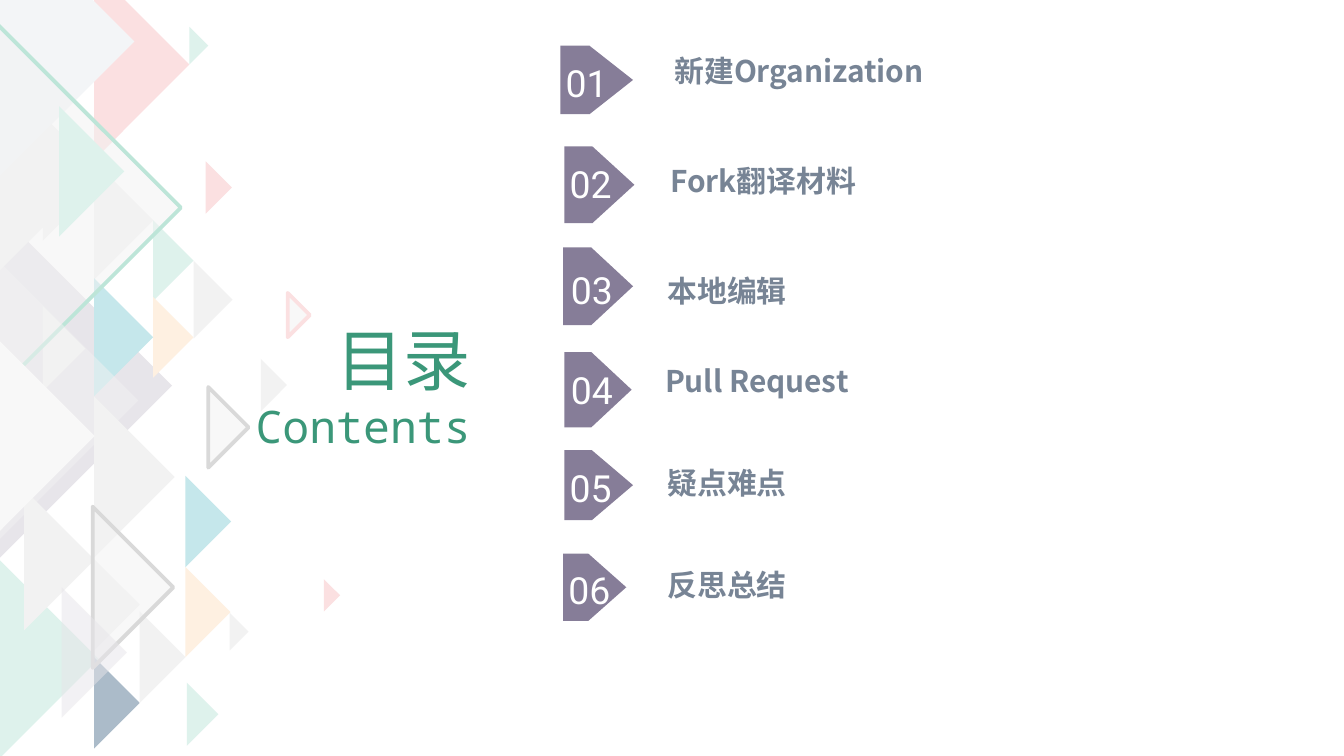
from lxml import etree
from pptx import Presentation
from pptx.dml.color import RGBColor
from pptx.enum.shapes import MSO_SHAPE
from pptx.enum.text import MSO_AUTO_SIZE, PP_ALIGN
from pptx.oxml.ns import qn
from pptx.util import Inches, Pt

COLORS = {
    "lilac": "E7E5EA", "gray": "F2F2F2", "pink": "FBE0E1", "mint": "DEF2EC",
    "cream": "FEF0E1", "aqua": "C5E7EB", "slate": "ABBBC9", "mist": "F3F5F7",
    "white": "FFFFFF", "mint_line": "BDE5D8", "gray_line": "D9D9D9",
    "badge": "867D98", "label": "778495", "title": "3B9779",
}
CJK_FONT = "Noto Sans CJK SC"
MONO_FONT = "Noto Sans Mono"
NUMBER_FONT = "Roboto"

TRIANGLES = [
    (0, 1.59, 2.56, "lilac", 100, None),
    (0, 0.54, 1.47, "gray", 100, None),
    (0.7, 1.2, 0.88, "gray", 100, None),
    (0.7, -0.23, 1.42, "pink", 100, None),
    (1.14, 1.64, 0.6, "mint", 100, None),
    (1.14, 2.21, 0.6, "cream", 100, None),
    (0.7, 2.07, 0.88, "aqua", 100, None),
    (0.7, 2.95, 1.2, "gray", 100, None),
    (0.7, 4.16, 0.68, "gray", 100, None),
    (0, 4.17, 1.47, "mint", 100, None),
    (0.7, 4.89, 0.68, "slate", 100, None),
    (1.04, 4.55, 0.68, "gray", 100, None),
    (1.38, 4.22, 0.67, "cream", 100, None),
    (1.38, 3.54, 0.68, "aqua", 100, None),
    (0, 2.85, 1.02, "gray", 100, None),
    (0, -0.69, 2, "mist", 100, None),
    (0.32, 1.16, 0.63, "gray", 100, None),
    (0.32, 2.28, 0.63, "gray", 100, None),
    (0.18, 3.64, 1.05, "gray", 100, None),
    (1.53, 1.2, 0.39, "pink", 100, None),
    (-0.06, 0.14, 2.81, "gray", 50, "mint_line"),
    (-0.06, 2.48, 1.53, "white", 100, None),
    (0.69, 3.77, 1.2, "gray", 50, "gray_line"),
    (1.55, 2.88, 0.6, "gray", 50, "gray_line"),
    (2.14, 2.18, 0.33, "gray", 50, "pink"),
    (1.94, 2.67, 0.39, "gray", 100, None),
    (1.71, 4.56, 0.28, "gray", 100, None),
    (1.39, 5.08, 0.47, "mint", 100, None),
    (0, 1.95, 2.06, "gray", 50, None),
    (0.46, 4.37, 0.97, "lilac", 50, None),
    (0.44, 0.79, 0.97, "mint", 100, None),
    (1.44, 1.94, 0.58, "gray", 100, None),
    (1.41, 0.2, 0.28, "mint", 100, None),
    (2.41, 4.31, 0.24, "pink", 100, None),
]

ENTRIES = [
    ("新建Organization", (4.17, 0.34, 0.54, 0.51), (-0.06, 0.06), (0.75, 0), 4.32),
    ("Fork翻译材料", (4.2, 1.09, 0.52, 0.57), (-0.06, 0.06), (0.69, 0.07), 3.37),
    ("本地编辑", (4.19, 1.84, 0.52, 0.58), (-0.04, 0.1), (0.68, 0.14), 3.37),
    ("Pull Request", (4.2, 2.62, 0.5, 0.56), (-0.05, 0.06), (0.65, 0.03), 3.37),
    ("疑点难点", (4.2, 3.35, 0.51, 0.52), (-0.06, 0.06), (0.67, 0.06), 3.37),
    ("反思总结", (4.19, 4.12, 0.47, 0.5), (-0.06, 0.05), (0.68, 0.05), 3.37),
]


def color(name):
    return RGBColor.from_string(COLORS[name])


def paint(shape, fill, opacity=100, outline=None):
    shape.shadow.inherit = False
    shape.fill.solid()
    shape.fill.fore_color.rgb = color(fill)
    if opacity < 100:
        fill_color = shape.element.spPr.find(qn("a:solidFill"))[0]
        etree.SubElement(fill_color, qn("a:alpha"), val=str(opacity * 1000))
    if outline:
        shape.line.color.rgb = color(outline)
        shape.line.width = Pt(2)
    else:
        shape.line.fill.background()


def add_triangle(slide, left, top, height, fill, opacity, outline):
    points = [(left + height / 2, top + height / 2), (left, top + height), (left, top)]
    start, *others = [(Inches(x), Inches(y)) for x, y in points]
    builder = slide.shapes.build_freeform(*start)
    builder.add_line_segments(others, close=True)
    paint(builder.convert_to_shape(), fill, opacity, outline)


def add_text(slide, box, lines, sizes, font, fill, bold=False, wrap=True, align=PP_ALIGN.LEFT):
    text_box = slide.shapes.add_textbox(*map(Inches, box))
    text_frame = text_box.text_frame
    text_frame.text = "\n".join(lines)
    text_frame.word_wrap = wrap
    text_frame.auto_size = MSO_AUTO_SIZE.SHAPE_TO_FIT_TEXT
    for paragraph, size in zip(text_frame.paragraphs, sizes):
        paragraph.alignment = align
        for run in paragraph.runs:
            run.font.size = Pt(size)
            run.font.name = font
            run.font.bold = bold
            run.font.color.rgb = color(fill)
            latin = run.font._element.find(qn("a:latin"))
            latin.addnext(etree.Element(qn("a:ea"), typeface=CJK_FONT))


def add_decoration(slide):
    for triangle in TRIANGLES:
        add_triangle(slide, *triangle)


def add_title(slide, box):
    add_text(slide, box, ["目录", "Contents"], [36, 24], MONO_FONT, "title", align=PP_ALIGN.RIGHT)


def add_entry(slide, number, text, box, number_offset, label_offset, label_width):
    left, top, width, height = box
    badge = slide.shapes.add_shape(MSO_SHAPE.PENTAGON, *map(Inches, box))
    badge.adjustments[0] = 0.6 * width / min(width, height)
    paint(badge, "badge")

    number_box = (left + number_offset[0], top + number_offset[1], 0.51, 0.44)
    add_text(slide, number_box, [f"{number:02}"], [20], NUMBER_FONT, "white", wrap=False)
    label_box = (left + label_offset[0], top + label_offset[1], label_width, 0.37)
    add_text(slide, label_box, [text], [16], CJK_FONT, "label", bold=True)


def main():
    presentation = Presentation()
    presentation.slide_width = Inches(10)
    presentation.slide_height = Inches(10 * 9 / 16)
    slide = presentation.slides.add_slide(presentation.slide_layouts[6])
    add_decoration(slide)
    add_title(slide, (1.74, 2.32, 1.86, 1.11))
    for number, entry in enumerate(ENTRIES, start=1):
        add_entry(slide, number, *entry)
    presentation.save("out.pptx")


if __name__ == "__main__":
    main()
